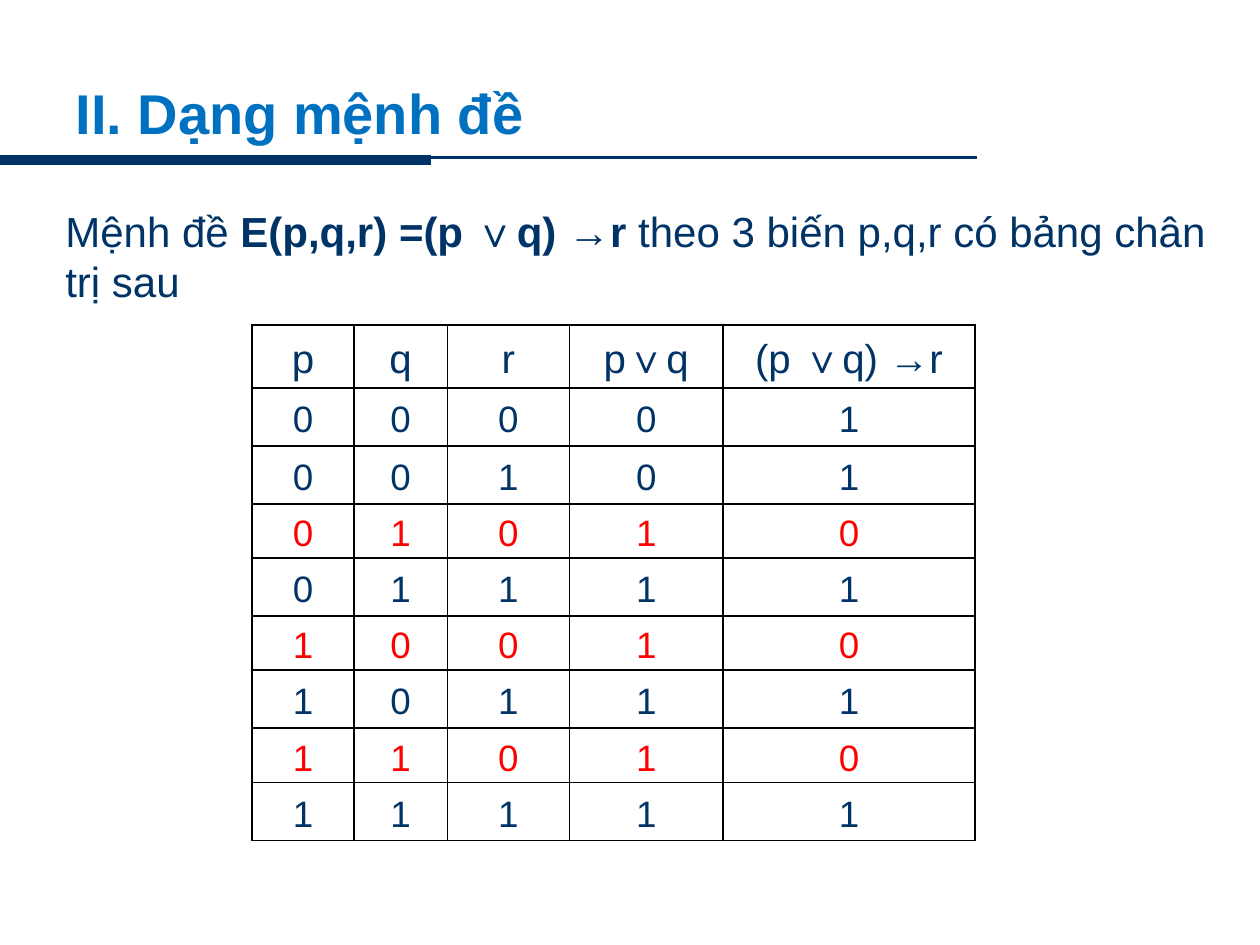
"""Build a slide with the truth table of (p ∨ q) → r."""
from dataclasses import dataclass
from itertools import product

from lxml.etree import SubElement
from pptx import Presentation
from pptx.dml.color import RGBColor
from pptx.enum.shapes import MSO_CONNECTOR as Conn
from pptx.enum.text import MSO_ANCHOR as Anchor, MSO_AUTO_SIZE as Fit, PP_ALIGN as Align
from pptx.oxml.ns import qn
from pptx.util import Inches, Pt

NAVY, BLUE, RED, BLACK = "003366", "0070C0", "FF0000", "000000"
HEADERS = ["p", "q", "r", "p∨q", "(p ∨q) →r"]
COL_WIDTHS = [0.81, 0.74, 0.97, 1.22, 2]
HEAD_HEIGHT, TRUE_HEIGHT, FALSE_HEIGHT = 0.5, 0.46, 0.43


@dataclass
class Rule:
    start: float
    end: float
    y: float
    width: float


@dataclass
class Row:
    values: list
    height: float
    size: float
    color: str


RULES = [Rule(7.75, 0, 1.25, 1.5), Rule(0, 3.42, 1.27, 6)]


def rgb(color: str) -> RGBColor:
    return RGBColor.from_string(color)


def set_attrs(obj, values: dict) -> None:
    for name, value in values.items():
        setattr(obj, name, value)


def add_run(p, text: str, size: float, color: str, bold: bool = False) -> None:
    r = p.add_run()
    r.text = text
    set_attrs(r.font, {"name": "Arial", "size": Pt(size), "bold": bold})
    r.font.color.rgb = rgb(color)


def draw_rule(s, rule: Rule) -> None:
    y = Inches(rule.y)
    line = s.shapes.add_connector(Conn.STRAIGHT, Inches(rule.start), y, Inches(rule.end), y)
    line.line.width = Pt(rule.width)
    line.line.color.rgb = rgb(NAVY)
    SubElement(line._element.spPr, qn("a:effectLst"))


def draw_title(s) -> None:
    title = s.shapes.title
    set_attrs(title, {"left": Inches(0.5), "top": Inches(0.58),
                      "width": Inches(8.42), "height": Inches(0.62)})
    tf = title.text_frame
    set_attrs(tf, {"auto_size": Fit.NONE, "vertical_anchor": Anchor.MIDDLE})
    p = tf.paragraphs[0]
    p.alignment = Align.LEFT
    add_run(p, "II. Dạng mệnh đề", 32, BLUE, True)


def draw_statement(s) -> None:
    tf = s.shapes.add_textbox(Inches(0.42), Inches(1.58), Inches(9.25), Inches(0.91)).text_frame
    set_attrs(tf, {"word_wrap": True, "auto_size": Fit.SHAPE_TO_FIT_TEXT})
    p = tf.paragraphs[0]
    add_run(p, "Mệnh đề ", 24, NAVY)
    add_run(p, "E(p,q,r) =(p ∨q) →r ", 24, NAVY, True)
    add_run(p, "theo 3 biến p,q,r có bảng chân trị sau", 24, NAVY)


def truth_rows() -> list[Row]:
    rows = [Row(HEADERS, HEAD_HEIGHT, 23, NAVY)]
    for p, q, r in product((0, 1), repeat=3):
        either = p | q
        result = (1 - either) | r
        height, color = (TRUE_HEIGHT, NAVY) if result else (FALSE_HEIGHT, RED)
        rows.append(Row([p, q, r, either, result], height, 21, color))
    return rows


def draw_borders(cell) -> None:
    props = cell._tc.get_or_add_tcPr()
    for side in ("lnL", "lnR", "lnT", "lnB"):
        line = SubElement(props, qn(f"a:{side}"), w=str(Pt(1)))
        fill = SubElement(line, qn("a:solidFill"))
        SubElement(fill, qn("a:srgbClr"), val=BLACK)


def draw_cell(cell, text: str, row: Row) -> None:
    draw_borders(cell)
    cell.fill.background()
    set_attrs(cell, {"vertical_anchor": Anchor.MIDDLE, "margin_left": Inches(0.07),
                     "margin_right": Inches(0.07), "margin_top": 0, "margin_bottom": 0})
    p = cell.text_frame.paragraphs[0]
    set_attrs(p, {"alignment": Align.CENTER, "line_spacing": 1.15})
    add_run(p, text, row.size, row.color)


def draw_table(s, rows: list[Row]) -> None:
    frame = s.shapes.add_table(len(rows), len(HEADERS), Inches(2), Inches(2.58),
                               Inches(sum(COL_WIDTHS)), Inches(sum(row.height for row in rows)))
    table = frame.table
    set_attrs(table, {"first_row": False, "horz_banding": False})
    for col, width in zip(table.columns, COL_WIDTHS):
        col.width = Inches(width)
    for i, row in enumerate(rows):
        table.rows[i].height = Inches(row.height)
        for j, value in enumerate(row.values):
            draw_cell(table.cell(i, j), str(value), row)


def main() -> None:
    prs = Presentation()
    set_attrs(prs, {"slide_width": Inches(10), "slide_height": Inches(7.5)})
    s = prs.slides.add_slide(prs.slide_layouts[5])
    for rule in RULES:
        draw_rule(s, rule)
    draw_title(s)
    draw_table(s, truth_rows())
    draw_statement(s)
    prs.save("out.pptx")


if __name__ == "__main__":
    main()
